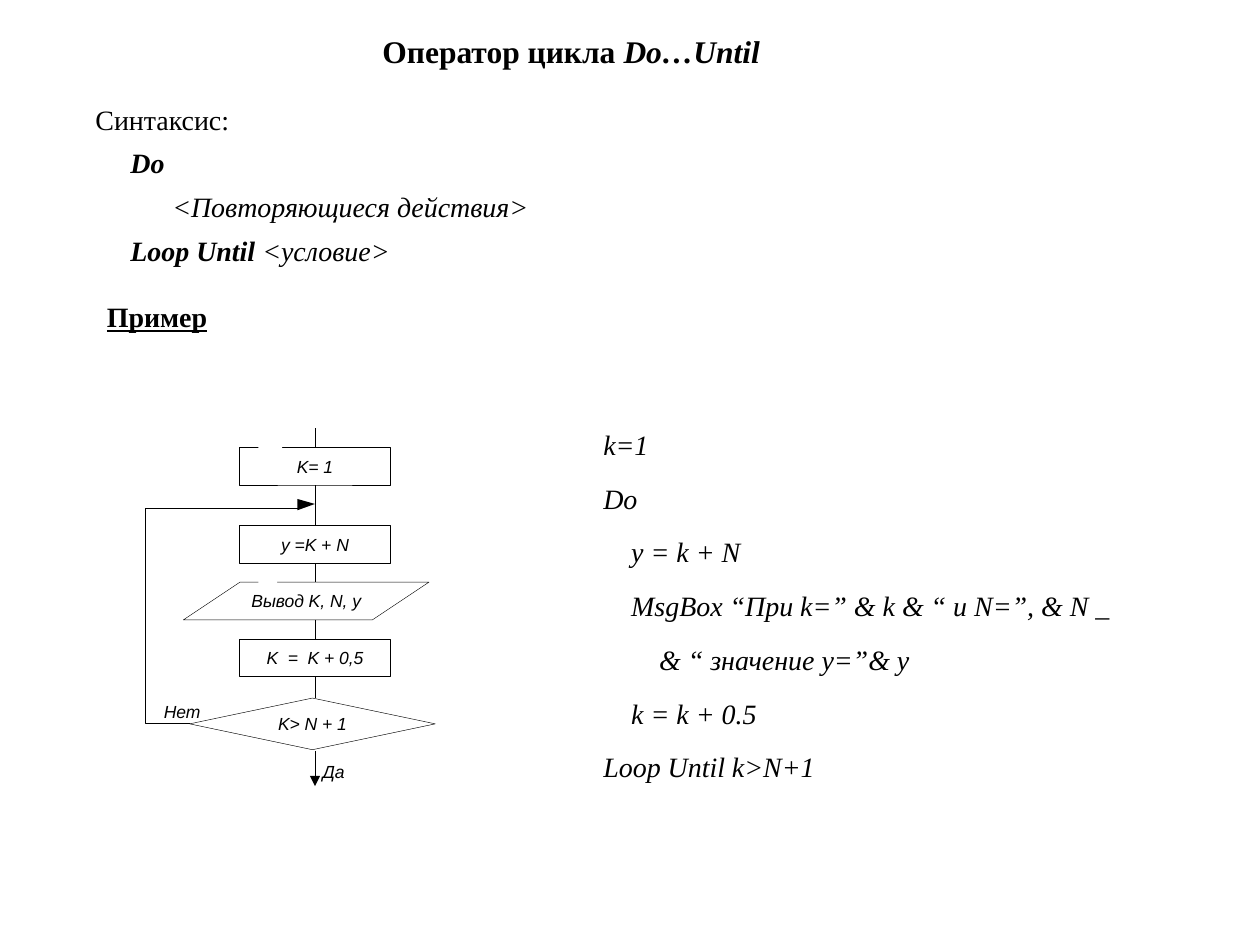
from lxml import etree
from pptx import Presentation
from pptx.dml.color import RGBColor
from pptx.enum.shapes import MSO_CONNECTOR, MSO_SHAPE
from pptx.enum.text import MSO_ANCHOR, MSO_AUTO_SIZE, PP_ALIGN
from pptx.oxml.ns import qn
from pptx.util import Inches, Pt

RECT, DIAMOND, PARALLELOGRAM = MSO_SHAPE.RECTANGLE, MSO_SHAPE.DIAMOND, MSO_SHAPE.PARALLELOGRAM
STRAIGHT = MSO_CONNECTOR.STRAIGHT
MIDDLE, TOP = MSO_ANCHOR.MIDDLE, MSO_ANCHOR.TOP
CENTER, JUSTIFY, LEFT = PP_ALIGN.CENTER, PP_ALIGN.JUSTIFY, PP_ALIGN.LEFT
FIT_SHAPE, NO_FIT = MSO_AUTO_SIZE.SHAPE_TO_FIT_TEXT, MSO_AUTO_SIZE.NONE

COLORS = {"ink": "000000", "paper": "FFFFFF"}
SERIF, SANS = "Times New Roman", "Arial"
TOP_SITE, BOTTOM_SITE = 0, 2

FLOW_X = 2.5
BOX_WIDTH, BOX_HEIGHT = 1.2, 0.3
LINE_WIDTH = Pt(0.25)

# Each line is a list of (text, bold) runs.
SYNTAX = [
    [("Синтаксис:", False)],
    [("     ", False), ("Do", True)],
    [("           <Повторяющиеся действия>", False)],
    [("     ", False), ("Loop Until ", True), ("<условие>", False)],
]
EXAMPLE_CODE = [
    "k=1",
    "Do",
    "    y = k + N",
    "    MsgBox “При k=” & k & “ и N=”, & N _",
    "        & “ значение y=”& y",
    "    k = k + 0.5",
    "Loop Until k>N+1",
]


def color(name):
    return RGBColor.from_string(COLORS[name])


def style_font(paragraph, size, name=SERIF, bold=None, italic=None):
    font = paragraph.font
    font.size, font.name = Pt(size), name
    font.bold, font.italic = bold, italic
    font.color.rgb = color("ink")


def place(shape, left, top, width, height):
    shape.left, shape.top = Inches(left), Inches(top)
    shape.width, shape.height = Inches(width), Inches(height)


def add_textbox(slide, left, top, width, height, anchor=TOP, wrap=True):
    box = slide.shapes.add_textbox(
        Inches(left), Inches(top), Inches(width), Inches(height))
    frame = box.text_frame
    frame.word_wrap = wrap
    frame.auto_size = FIT_SHAPE
    frame.vertical_anchor = anchor
    return frame


def paragraphs(frame, count):
    """Return count paragraphs, beginning with the one already in the frame."""
    return [frame.paragraphs[0]] + [frame.add_paragraph() for _ in range(count - 1)]


def remove_insets(frame):
    frame.margin_left = frame.margin_right = 0
    frame.margin_top = frame.margin_bottom = 0


def style_outline(shape, fill=None, outlined=True):
    shape.shadow.inherit = False
    if fill:
        shape.fill.solid()
        shape.fill.fore_color.rgb = color(fill)
    else:
        shape.fill.background()
    if outlined:
        shape.line.color.rgb = color("ink")
        shape.line.width = LINE_WIDTH
    else:
        shape.line.fill.background()


def add_step(slide, kind, text, top, center=FLOW_X, width=BOX_WIDTH, height=BOX_HEIGHT):
    step = slide.shapes.add_shape(
        kind, Inches(center - width / 2), Inches(top), Inches(width), Inches(height))
    style_outline(step, "paper")
    frame = step.text_frame
    remove_insets(frame)
    frame.word_wrap = False
    frame.vertical_anchor = MIDDLE
    frame.text = text
    frame.paragraphs[0].alignment = CENTER
    style_font(frame.paragraphs[0], 10, SANS, italic=True)
    return step


def add_flow_line(slide, top, bottom, above=None, below=None, arrow=False):
    """Draw a vertical line, joined to the boxes above and below if given."""
    line = slide.shapes.add_connector(
        STRAIGHT, Inches(FLOW_X), Inches(top), Inches(FLOW_X), Inches(bottom))
    if above is not None:
        line.begin_connect(above, BOTTOM_SITE)
    if below is not None:
        line.end_connect(below, TOP_SITE)
    line.line.color.rgb = color("ink")
    line.line.width = LINE_WIDTH
    if arrow:
        outline = line._element.spPr.find(qn("a:ln"))
        etree.SubElement(outline, qn("a:tailEnd"), type="triangle")
    etree.SubElement(line._element.spPr, qn("a:effectLst"))


def add_polyline(slide, points, closed=False):
    start, *rest = [(Inches(x), Inches(y)) for x, y in points]
    builder = slide.shapes.build_freeform(*start)
    builder.add_line_segments(rest, close=closed)
    return builder.convert_to_shape()


def add_border_gap(slide, top, width, height):
    gap = slide.shapes.add_shape(
        RECT, Inches(2.05), Inches(top), Inches(width), Inches(height))
    style_outline(gap, "paper", outlined=False)


def add_branch_label(slide, text, left, top, width):
    frame = add_textbox(slide, left, top, width, 0.17, wrap=False)
    remove_insets(frame)
    frame.text = text
    style_font(frame.paragraphs[0], 10, SANS, italic=True)


def add_title(slide):
    title = slide.shapes.title
    place(title, 0.59, 0.2, 7.95, 0.4)
    frame = title.text_frame
    frame.auto_size = NO_FIT
    frame.vertical_anchor = MIDDLE
    heading = frame.paragraphs[0]
    heading.alignment = CENTER
    heading.add_run().text = "Оператор цикла "
    statement = heading.add_run()
    statement.text = "Do…Until "
    statement.font.italic = True
    style_font(heading, 18, bold=True)


def add_syntax(slide):
    frame = add_textbox(slide, 0.66, 0.68, 3.64, 1.49, MIDDLE, wrap=False)
    for row, (paragraph, parts) in enumerate(zip(paragraphs(frame, len(SYNTAX)), SYNTAX)):
        paragraph.alignment = JUSTIFY
        paragraph.line_spacing = 1.3
        style_font(paragraph, 16, italic=row > 0)
        for text, bold in parts:
            run = paragraph.add_run()
            run.text = text
            run.font.bold = bold


def add_example_heading(slide):
    frame = add_textbox(slide, 0.75, 2.33, 1.5, 0.37)
    frame.text = "Пример"
    style_font(frame.paragraphs[0], 16, bold=True)
    frame.paragraphs[0].font.underline = True


def add_example_code(slide):
    frame = add_textbox(slide, 4.69, 3.18, 4.96, 3.09, MIDDLE)
    for paragraph, code in zip(paragraphs(frame, len(EXAMPLE_CODE)), EXAMPLE_CODE):
        paragraph.text = code
        paragraph.alignment = LEFT
        paragraph.line_spacing = 1.6
        style_font(paragraph, 16, italic=True)


def add_flowchart(slide):
    start = add_step(slide, RECT, "K= 1", 3.55)
    formula = add_step(slide, RECT, "y =K + N", 4.17)
    output = add_step(slide, PARALLELOGRAM, "Вывод K, N, y", 4.62, center=2.43, width=1.95)
    output.adjustments[0] = 1.5
    increment = add_step(slide, RECT, "K  =  K + 0,5", 5.07)
    add_step(slide, DIAMOND, "K> N + 1", 5.54, center=2.48, width=1.95, height=0.41)

    add_border_gap(slide, 3.48, 0.19, 0.19)
    add_border_gap(slide, 4.54, 0.15, 0.15)

    add_flow_line(slide, 3.4, 3.55, below=start)
    add_flow_line(slide, 3.85, 4.17, above=start, below=formula)
    add_flow_line(slide, 4.47, 4.62, above=formula)
    add_flow_line(slide, 4.92, 5.07, below=increment)
    add_flow_line(slide, 5.37, 5.54, above=increment)
    add_flow_line(slide, 5.96, 6.24, arrow=True)

    loop_back = add_polyline(slide, [(1.51, 5.74), (1.15, 5.74), (1.15, 4.03), (2.37, 4.03)])
    style_outline(loop_back)
    loop_head = add_polyline(slide, [(2.36, 3.96), (2.5, 4), (2.36, 4.05)], closed=True)
    style_outline(loop_head, "ink", outlined=False)

    add_branch_label(slide, "Нет", 1.3, 5.56, 0.29)
    add_branch_label(slide, "Да", 2.56, 6.04, 0.18)


def main():
    presentation = Presentation()
    presentation.slide_width, presentation.slide_height = Inches(10), Inches(7.5)
    slide = presentation.slides.add_slide(presentation.slide_layouts[5])
    add_title(slide)
    add_syntax(slide)
    add_example_heading(slide)
    add_example_code(slide)
    add_flowchart(slide)
    presentation.save("out.pptx")


if __name__ == "__main__":
    main()
